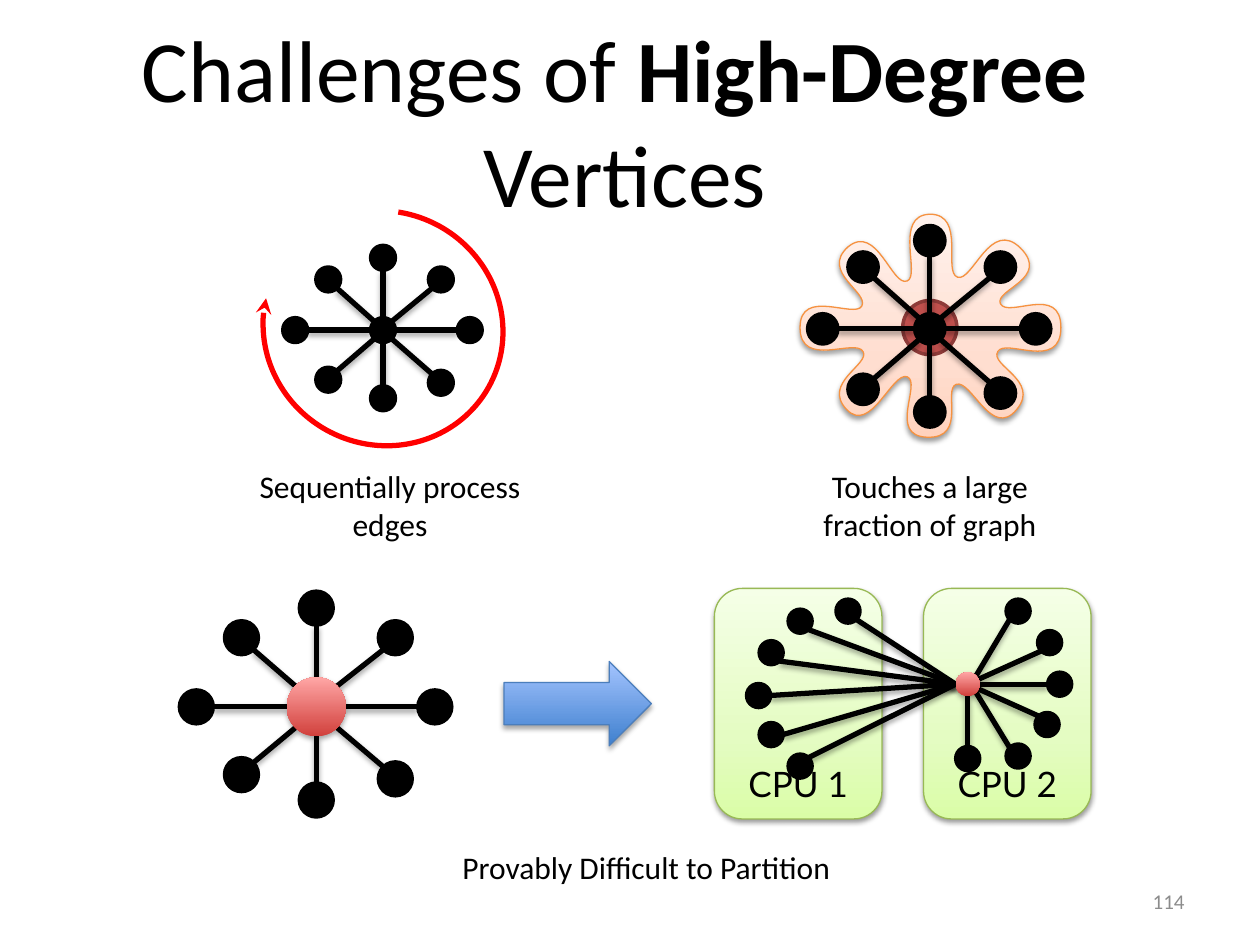
from copy import deepcopy
from math import sqrt

from lxml.etree import SubElement
from pptx import Presentation
from pptx.dml.color import RGBColor
from pptx.enum.shapes import MSO_CONNECTOR, MSO_SHAPE
from pptx.enum.text import MSO_ANCHOR, MSO_AUTO_SIZE, PP_ALIGN
from pptx.oxml.ns import qn
from pptx.util import Inches, Pt

DIAGONAL = 1 / sqrt(2)
COMPASS = {
    "C": (0, 0), "N": (0, -1), "S": (0, 1), "W": (-1, 0), "E": (1, 0),
    "NW": (-DIAGONAL, -DIAGONAL), "NE": (DIAGONAL, -DIAGONAL),
    "SW": (-DIAGONAL, DIAGONAL), "SE": (DIAGONAL, DIAGONAL),
}
OPPOSITE = {"N": "S", "S": "N", "W": "E", "E": "W",
            "NW": "SE", "SE": "NW", "NE": "SW", "SW": "NE"}
# Neighbour offsets from the hub of a star at scale 1
STAR_OFFSETS = {
    "NW": (-0.53, -0.49), "NE": (0.56, -0.49), "N": (0, -0.7), "E": (0.84, 0),
    "W": (-0.85, 0), "S": (0, 0.66), "SW": (-0.53, 0.48), "SE": (0.56, 0.51),
}
NODE_SIZE = 0.24

# Neighbours of the split vertex: centre, side met on the node, side met on the hub
SPLIT_HUB = (7.68, 5.43)
SPLIT_SIZE = 0.19
SPLIT_NODES = [
    ((6.73, 4.85), "SE", "W"), ((6.35, 4.93), "SE", "W"),
    ((6.12, 5.18), "SE", "W"), ((6.02, 5.52), "E", "W"),
    ((6.12, 5.83), "E", "W"), ((6.35, 6.08), "NE", "W"),
    ((8.08, 4.85), "SW", "NE"), ((8.33, 5.1), "SW", "C"),
    ((8.41, 5.43), "W", "E"), ((8.31, 5.75), "NW", "C"),
    ((8.08, 6), "NW", "SE"), ((7.68, 6.02), "N", "S"),
]

# Cubic curves in hundredths of an inch: two control points and an end point each
CLOUD_START = (635, 260)
CLOUD_CURVES = [
    (635, 228), (678, 253), (684, 243), (690, 232), (651, 216), (673, 196),
    (696, 177), (708, 228), (720, 223), (731, 219), (709, 171), (738, 170),
    (767, 170), (748, 216), (760, 220), (772, 224), (786, 173), (810, 197),
    (834, 221), (789, 230), (794, 241), (800, 253), (842, 225), (842, 260),
    (842, 295), (798, 268), (792, 279), (785, 290), (826, 302), (807, 325),
    (787, 349), (771, 301), (759, 305), (748, 309), (768, 348), (736, 347),
    (704, 346), (732, 304), (720, 299), (708, 295), (691, 345), (672, 325),
    (652, 304), (691, 289), (685, 279), (679, 268), (635, 293), (635, 260),
]

RED_GRADIENT = [(0, "D1403C"), (1, "FFA6A5")]
BLUE_GRADIENT = [(0, "3F80CE"), (1, "A4C4FF")]
GREEN_GRADIENT = [(0, "DAFDA7"), (0.35, "E4FCC2"), (1, "F5FFE7")]
PEACH_GRADIENT = [(0, "FFD2BD"), (0.35, "FFDED0"), (1, "FFF2ED")]


def color(value):
    return RGBColor.from_string(value)


def add_shadow(element, opacity=35, distance=1.8):
    """Drop a soft black shadow straight down; opacity in percent, distance in points."""
    properties = element.spPr
    effects = properties.find(qn("a:effectLst"))
    if effects is None:
        effects = SubElement(properties, qn("a:effectLst"))
    shadow = SubElement(effects, qn("a:outerShdw"), blurRad=str(Pt(3.1)),
                        dist=str(Pt(distance)), dir="5400000", rotWithShape="0")
    black = SubElement(shadow, qn("a:srgbClr"), val="000000")
    SubElement(black, qn("a:alpha"), val=str(opacity * 1000))


def fill_gradient(shape, stops):
    """Fill from bottom to top with (position, colour) stops."""
    fill = shape.fill
    fill.gradient()
    fill.gradient_angle = 90
    stop_list = shape.element.spPr.find(".//" + qn("a:gsLst"))
    for _ in stops[2:]:
        stop_list.append(deepcopy(stop_list[0]))
    for stop, (position, value) in zip(fill.gradient_stops, stops):
        stop.position = position
        stop.color.rgb = color(value)


def style_shape(shape, fill, line=None, width=0.75):
    shape.shadow.inherit = False
    if isinstance(fill, list):
        fill_gradient(shape, fill)
    else:
        shape.fill.solid()
        shape.fill.fore_color.rgb = color(fill)
    if line:
        shape.line.color.rgb = color(line)
        shape.line.width = Pt(width)
    else:
        shape.line.fill.background()


def style_paragraph(paragraph, size, value="000000", font="Calibri", align=PP_ALIGN.CENTER):
    paragraph.alignment = align
    for span in paragraph.runs:
        span.font.name = font
        span.font.size = Pt(size)
        span.font.color.rgb = color(value)


def add_block(page, kind, left, top, width, height):
    return page.shapes.add_shape(kind, Inches(left), Inches(top), Inches(width), Inches(height))


def add_text(page, text, left, top, width, height, size=18, wrap=False, **style):
    box = page.shapes.add_textbox(Inches(left), Inches(top), Inches(width), Inches(height))
    box.text_frame.word_wrap = wrap
    box.text_frame.text = text
    for paragraph in box.text_frame.paragraphs:
        style_paragraph(paragraph, size, **style)
    return box


def add_circle(page, center, size, fill="000000", line="000000"):
    x, y = center
    circle = add_block(page, MSO_SHAPE.OVAL, x - size / 2, y - size / 2, size, size)
    style_shape(circle, fill, line, 2)
    return circle


def add_hub(page, center, size):
    add_shadow(add_circle(page, center, size, RED_GRADIENT, None).element)


def rim_point(center, size, side):
    return [Inches(c + size / 2 * step) for c, step in zip(center, COMPASS[side])]


def add_edge(page, start, end):
    edge = page.shapes.add_connector(MSO_CONNECTOR.STRAIGHT, *start, *end)
    edge.line.color.rgb = color("000000")
    edge.line.width = Pt(3)
    add_shadow(edge.element)


def add_star(page, center, scale, red_hub_size=None):
    """Draw a hub with eight neighbours; a red hub replaces the black one if sized."""
    size = NODE_SIZE * scale
    hub_size = red_hub_size or size
    nodes = {side: (center[0] + dx * scale, center[1] + dy * scale)
             for side, (dx, dy) in STAR_OFFSETS.items()}
    for side, node in nodes.items():
        add_edge(page, rim_point(center, hub_size, side), rim_point(node, size, OPPOSITE[side]))
    if red_hub_size:
        add_hub(page, center, red_hub_size)
    else:
        add_circle(page, center, size)
    for node in nodes.values():
        add_circle(page, node, size)


def add_cloud(page):
    builder = page.shapes.build_freeform(*CLOUD_START, scale=Inches(0.01))
    builder.add_line_segments(CLOUD_CURVES, close=True)
    cloud = builder.convert_to_shape()
    segments = list(cloud.element.iter(qn("a:lnTo")))
    for first in range(0, len(segments), 3):
        trio = segments[first:first + 3]
        curve = trio[0].makeelement(qn("a:cubicBezTo"))
        trio[0].addprevious(curve)
        for segment in trio:
            curve.append(segment[0])
            segment.getparent().remove(segment)
    style_shape(cloud, PEACH_GRADIENT, "F69240")
    add_shadow(cloud.element, 38, 1.6)


def add_sweep_arrow(page):
    arc = add_block(page, MSO_SHAPE.ARC, 2.08, 1.68, 1.92, 1.85)
    arc.adjustments[0] = 149.16
    arc.adjustments[1] = 99.26
    arc.rotation = 28.9
    arc.shadow.inherit = False
    arc.fill.background()
    arc.line.color.rgb = color("FF0000")
    arc.line.width = Pt(3)
    SubElement(arc.element.spPr.find(qn("a:ln")), qn("a:tailEnd"), type="stealth")


def add_cpu(page, label, left):
    cpu = add_block(page, MSO_SHAPE.ROUNDED_RECTANGLE, left, 4.67, 1.33, 1.83)
    style_shape(cpu, GREEN_GRADIENT, "98B955")
    add_shadow(cpu.element, 38, 1.6)
    frame = cpu.text_frame
    frame.word_wrap = False
    frame.vertical_anchor = MSO_ANCHOR.BOTTOM
    frame.text = label
    style_paragraph(frame.paragraphs[0], 20, font="Lato")


def add_split_vertex(page):
    for node, node_side, hub_side in SPLIT_NODES:
        add_edge(page, rim_point(node, SPLIT_SIZE, node_side),
                 rim_point(SPLIT_HUB, SPLIT_SIZE, hub_side))
    add_hub(page, SPLIT_HUB, SPLIT_SIZE)
    for node, _, _ in SPLIT_NODES:
        add_circle(page, node, SPLIT_SIZE)


def set_title(page):
    title = page.shapes.title
    title.left, title.top, title.width, title.height = map(Inches, (-0.08, 0.33, 10.08, 1.25))
    frame = title.text_frame
    frame.auto_size = MSO_AUTO_SIZE.NONE
    frame.vertical_anchor = MSO_ANCHOR.MIDDLE
    paragraph = frame.paragraphs[0]
    paragraph.add_run().text = "Challenges of "
    emphasis = paragraph.add_run()
    emphasis.text = "High-Degree "
    emphasis.font.bold = True
    paragraph.add_line_break()
    paragraph.add_run().text = "Vertices"
    style_paragraph(paragraph, 50)


def main():
    deck = Presentation()
    deck.slide_width, deck.slide_height = Inches(10), Inches(7.5)
    page = deck.slides.add_slide(deck.slide_layouts[5])
    set_title(page)

    add_cloud(page)
    add_circle(page, (7.38, 2.6), 0.43, "C0504D", "8E3B39")
    add_star(page, (7.38, 2.61), 1)
    add_text(page, "Touches a large\nfraction of graph", 6.42, 3.66, 1.92, 0.71)

    add_sweep_arrow(page)
    add_star(page, (3.04, 2.62), 0.82)
    add_text(page, "Sequentially process\vedges", 1.94, 3.66, 2.31, 0.71)

    add_star(page, (2.51, 5.61), 1.12, red_hub_size=0.47)
    add_cpu(page, "CPU 1", 5.67)
    add_cpu(page, "CPU 2", 7.33)
    add_split_vertex(page)
    arrow = add_block(page, MSO_SHAPE.RIGHT_ARROW, 4, 5.25, 1.17, 0.67)
    style_shape(arrow, BLUE_GRADIENT, "4B7EBC")
    add_shadow(arrow.element)
    add_text(page, "Provably Difficult to Partition", 3, 6.68, 4.26, 0.4, wrap=True)

    number = add_text(page, "114", 7.17, 6.95, 2.33, 0.4, size=12, wrap=True,
                      value="8C8C8C", align=PP_ALIGN.RIGHT)
    number.text_frame.vertical_anchor = MSO_ANCHOR.MIDDLE
    deck.save("out.pptx")


if __name__ == "__main__":
    main()
